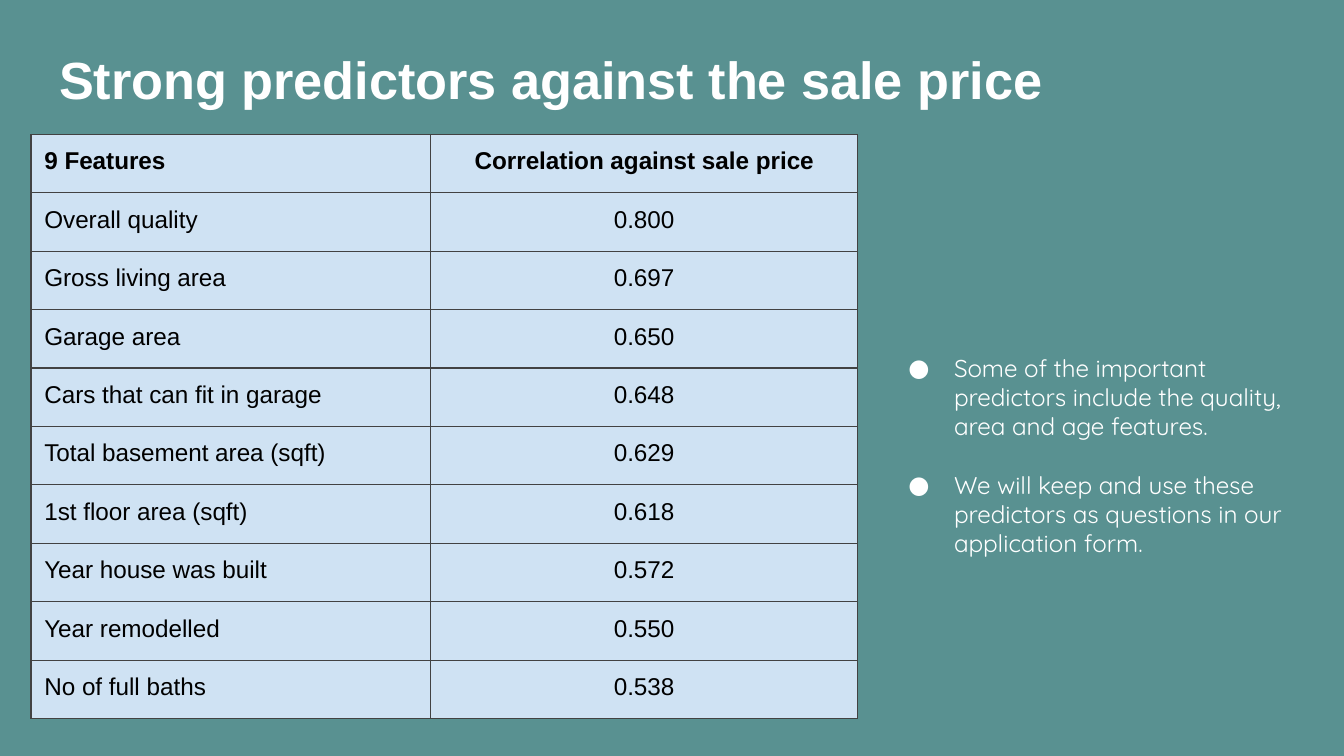
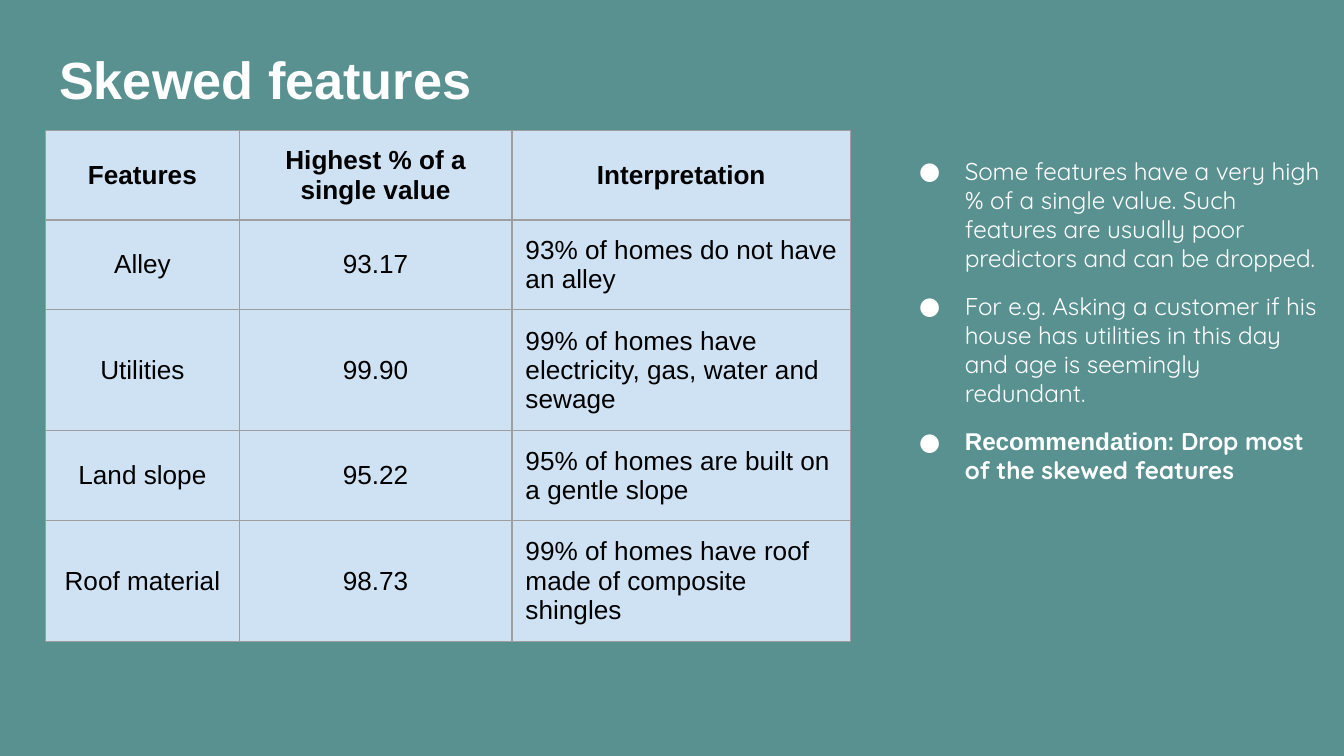
from dataclasses import dataclass

from lxml.etree import SubElement
from pptx import Presentation
from pptx.dml.color import RGBColor as Color
from pptx.enum.text import MSO_ANCHOR as Anchor
from pptx.enum.text import MSO_AUTO_SIZE as Fit
from pptx.enum.text import PP_ALIGN as Align
from pptx.oxml.ns import qn
from pptx.util import Pt

SCALE = 4572  # EMU in one px, 200 px to the inch
TITLE_ONLY = 5


@dataclass(frozen=True)
class Theme:
    back: str = "599191"
    light: str = "FFFFFF"
    dark: str = "000000"
    cell: str = "CFE2F3"
    plain: str = "Arial"
    soft: str = "Quicksand"
    head: int = 28
    body: int = 13
    edge: float = 0.75
    pad: int = 20


def px(*sizes):
    return [size * SCALE for size in sizes]


def tint(parent, tag, color):
    """Append a colour-holding element to parent."""
    node = SubElement(parent, qn(tag))
    SubElement(node, qn("a:srgbClr"), val=color)


class Deck:
    def __init__(self, theme):
        self.theme = theme
        self.prs = Presentation()
        self.prs.slide_width, self.prs.slide_height = px(2000, 1125)
        fill = self.prs.slide_master.background.fill
        fill.solid()
        fill.fore_color.rgb = Color.from_string(theme.back)
        self.slide = None

    def run(self, para, text, size, color, font, bold=False):
        run = para.add_run()
        run.text = text
        run.font.size = Pt(size)
        run.font.name = font
        run.font.bold = bold
        run.font.color.rgb = Color.from_string(color)

    def inset(self, item):
        """Give a text frame or a cell the same margin on all sides."""
        pad, = px(self.theme.pad)
        item.margin_left = item.margin_right = pad
        item.margin_top = item.margin_bottom = pad

    def title(self, text):
        """Start a new slide under this title."""
        t = self.theme
        layout = self.prs.slide_layouts[TITLE_ONLY]
        self.slide = self.prs.slides.add_slide(layout)
        box = self.slide.shapes.title
        box.left, box.top, box.width, box.height = px(68, 42, 1538, 170)
        frame = box.text_frame
        frame.auto_size = Fit.NONE
        frame.vertical_anchor = Anchor.TOP
        self.inset(frame)
        frame.margin_top, = px(29)
        para = frame.paragraphs[0]
        para.alignment = Align.LEFT
        self.run(para, text, t.head, t.light, t.plain, True)

    def bullet(self, para):
        t = self.theme
        left, hang = px(100, -68)
        props = para._p.get_or_add_pPr()
        props.set("marL", str(left))
        props.set("indent", str(hang))
        tint(props, "a:buClr", t.light)
        SubElement(props, qn("a:buFont"), typeface=t.soft)
        SubElement(props, qn("a:buChar"), char="●")

    def notes(self, at, items, gap):
        """Each item is a list of (text, font, bold) runs."""
        t = self.theme
        frame = self.slide.shapes.add_textbox(*px(*at)).text_frame
        frame.word_wrap = True
        frame.auto_size = Fit.SHAPE_TO_FIT_TEXT
        self.inset(frame)
        for i, parts in enumerate(items):
            para = frame.add_paragraph() if i else frame.paragraphs[0]
            if i:
                para.space_before = Pt(gap)
            self.bullet(para)
            for text, font, bold in parts:
                self.run(para, text, t.body, t.light, font, bold)

    def cell(self, cell, text, size, bold, align, anchor, line):
        t = self.theme
        self.inset(cell)
        cell.vertical_anchor = anchor
        para = cell.text_frame.paragraphs[0]
        para.alignment = align
        self.run(para, text, size, t.dark, t.plain, bold)
        props = cell._tc.get_or_add_tcPr()
        for side in "LRTB":
            edge = SubElement(props, qn(f"a:ln{side}"), w=str(Pt(t.edge)))
            tint(edge, "a:solidFill", line)
        cell.fill.solid()
        cell.fill.fore_color.rgb = Color.from_string(t.cell)

    def table(self, spot, cols, highs, rows, left, line, size, anchor):
        """Fill a table; left is the column whose body text is not centred."""
        at = px(*spot, sum(cols), sum(highs))
        grid = self.slide.shapes.add_table(len(rows), len(cols), *at).table
        grid.horz_banding = False
        for col, wide in zip(grid.columns, px(*cols)):
            col.width = wide
        for row, high in zip(grid.rows, px(*highs)):
            row.height = high
        for r, row in enumerate(rows):
            for c, text in enumerate(row):
                # A left column at the edge keeps its heading left as well.
                flush = c == left and (r > 0 or c == 0)
                align = Align.LEFT if flush else Align.CENTER
                self.cell(grid.cell(r, c), text, size, r == 0, align,
                          anchor, line)


SCORES = [
    ("9 Features", "Correlation against sale price"),
    ("Overall quality", "0.800"),
    ("Gross living area", "0.697"),
    ("Garage area", "0.650"),
    ("Cars that can fit in garage", "0.648"),
    ("Total basement area (sqft)", "0.629"),
    ("1st floor area (sqft)", "0.618"),
    ("Year house was built", "0.572"),
    ("Year remodelled", "0.550"),
    ("No of full baths", "0.538"),
]

SKEWS = [
    ("Features", "Highest % of a single value", "Interpretation"),
    ("Alley", "93.17", "93% of homes do not have an alley"),
    ("Utilities", "99.90",
     "99% of homes have electricity, gas, water and sewage"),
    ("Land slope", "95.22", "95% of homes are built on a gentle slope"),
    ("Roof material", "98.73",
     "99% of homes have roof made of composite shingles"),
]


def main():
    theme = Theme()
    deck = Deck(theme)
    soft, plain = theme.soft, theme.plain

    deck.title("Strong predictors against the sale price")
    deck.notes((1300, 506, 670, 346), [
        [("Some of the important predictors include the quality, "
          "area and age features.", soft, False)],
        [("We will keep and use these predictors as questions in our "
          "application form.", soft, False)],
    ], gap=15.6)
    deck.table((46, 200), (595, 635), [87] * len(SCORES), SCORES,
               left=0, line="424242", size=13, anchor=Anchor.TOP)

    deck.title("Skewed features")
    deck.notes((1316, 212, 670, 490), [
        [("Some features have a very high % of a single value. Such features "
          "are usually poor predictors and can be dropped.", soft, False)],
        [("For e.g. Asking a customer if his house has utilities in this day "
          "and age is seemingly redundant.", soft, False)],
        [("Recommendation", plain, True),
         (": Drop most of the skewed features", soft, True)],
    ], gap=10)
    deck.table((68, 194), (288, 406, 504), (133, 133, 180, 133, 180), SKEWS,
               left=2, line="9E9E9E", size=14, anchor=Anchor.MIDDLE)

    deck.prs.save("out.pptx")


if __name__ == "__main__":
    main()
